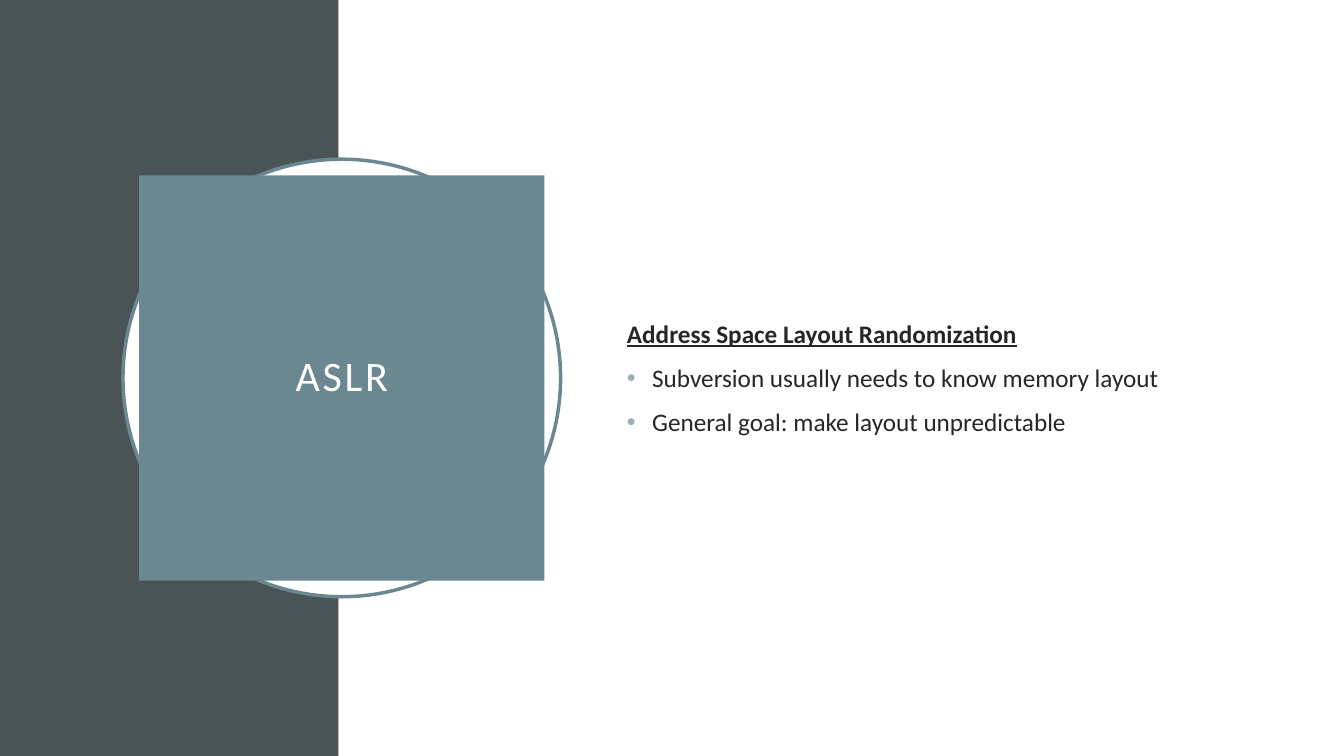
from lxml.etree import SubElement
from pptx import Presentation
from pptx.dml.color import RGBColor
from pptx.enum.shapes import MSO_SHAPE
from pptx.enum.text import MSO_ANCHOR, PP_ALIGN
from pptx.oxml.ns import qn
from pptx.util import Inches, Pt

SLATE = "4A5356"
TEAL = "6B8891"
WHITE = "FFFFFF"
INK = "262626"
BULLET = "9BAFB5"


def color(value):
    """Turn a hex string into a colour."""
    return RGBColor.from_string(value)


def add_panel(page, kind, left, top, width, height, fill, outline=None):
    """Add a flat filled shape with an optional outline."""
    panel = page.shapes.add_shape(
        kind, Inches(left), Inches(top), Inches(width), Inches(height)
    )
    panel.shadow.inherit = False
    panel.fill.solid()
    panel.fill.fore_color.rgb = color(fill)
    if outline:
        panel.line.color.rgb = color(outline)
        panel.line.width = Pt(2.5)
    else:
        panel.line.fill.background()
    return panel


def add_span(para, text, size, hue):
    """Add one run of text to a paragraph."""
    span = para.add_run()
    span.text = text
    span.font.name = "Calibri"
    span.font.size = Pt(size)
    span.font.color.rgb = color(hue)
    return span


def add_bullet(para):
    """Give a paragraph a hanging coloured bullet."""
    properties = para._p.get_or_add_pPr()
    indent = Inches(0.25)
    properties.set("marL", str(indent))
    properties.set("indent", str(-indent))
    hue = SubElement(properties, qn("a:buClr"))
    SubElement(hue, qn("a:srgbClr"), val=BULLET)
    SubElement(properties, qn("a:buFont"), typeface="Arial")
    SubElement(properties, qn("a:buChar"), char="•")


def add_backdrop(page, width, height, split):
    """Divide the page into a dark band and a white field."""
    add_panel(page, MSO_SHAPE.RECTANGLE, 0, 0, split, height, SLATE)
    add_panel(page, MSO_SHAPE.RECTANGLE, split, 0, width - split, height, WHITE)


def add_title_badge(page, left, top, size, title):
    """Place a ring and the title square centred inside it."""
    margin = 0.16
    inner = size - 2 * margin
    add_panel(page, MSO_SHAPE.OVAL, left, top, size, size, WHITE, TEAL)
    square = add_panel(
        page, MSO_SHAPE.RECTANGLE, left + margin, top + margin, inner, inner, TEAL
    )
    frame = square.text_frame
    frame.word_wrap = True
    frame.vertical_anchor = MSO_ANCHOR.MIDDLE
    frame.margin_left = frame.margin_right = Inches(0.2)
    frame.margin_top = frame.margin_bottom = Inches(0.2)
    para = frame.paragraphs[0]
    para.alignment = PP_ALIGN.CENTER
    para.line_spacing = 0.9
    span = add_span(para, title, 30, WHITE)
    span.font._element.set("spc", "200")


def add_body(page, left, top, width, height, heading, points):
    """Write an underlined heading followed by bullet points."""
    box = page.shapes.add_textbox(
        Inches(left), Inches(top), Inches(width), Inches(height)
    )
    frame = box.text_frame
    frame.word_wrap = True
    frame.vertical_anchor = MSO_ANCHOR.MIDDLE
    span = add_span(frame.paragraphs[0], heading, 18, INK)
    span.font.bold = True
    span.font.underline = True
    for point in points:
        para = frame.add_paragraph()
        para.space_before = Pt(10)
        add_bullet(para)
        add_span(para, point, 18, INK)


def main():
    """Build and save the deck."""
    deck = Presentation()
    deck.slide_width = Inches(13.33)
    deck.slide_height = Inches(7.5)
    page = deck.slides.add_slide(deck.slide_layouts[6])
    add_backdrop(page, 13.33, 7.5, 3.36)
    add_title_badge(page, 1.22, 1.58, 4.34, "ASLR")
    add_body(
        page, 6.12, 1.53, 5.82, 4.43,
        "Address Space Layout Randomization",
        [
            "Subversion usually needs to know memory layout",
            "General goal: make layout unpredictable",
        ],
    )
    deck.save("out.pptx")


if __name__ == "__main__":
    main()
